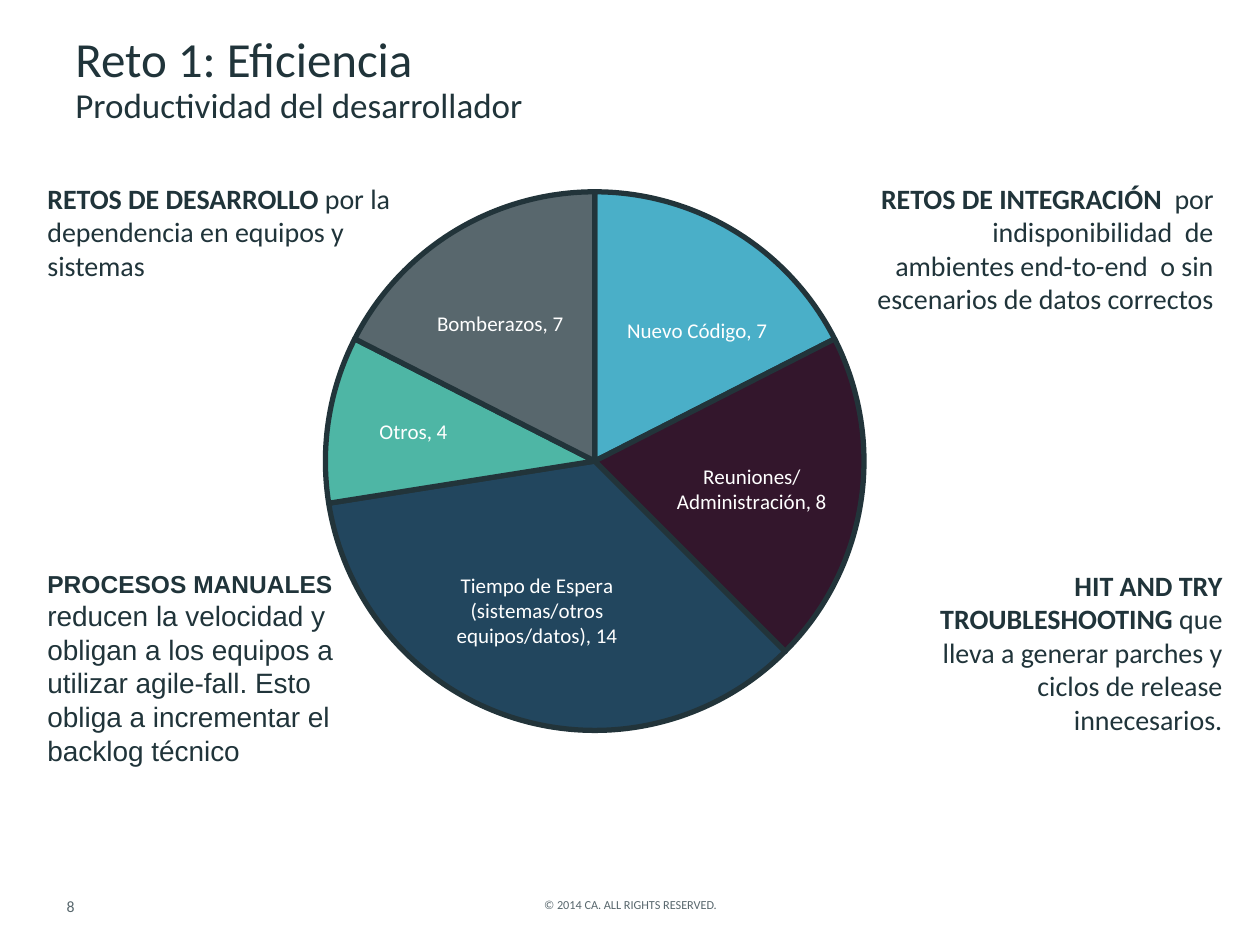
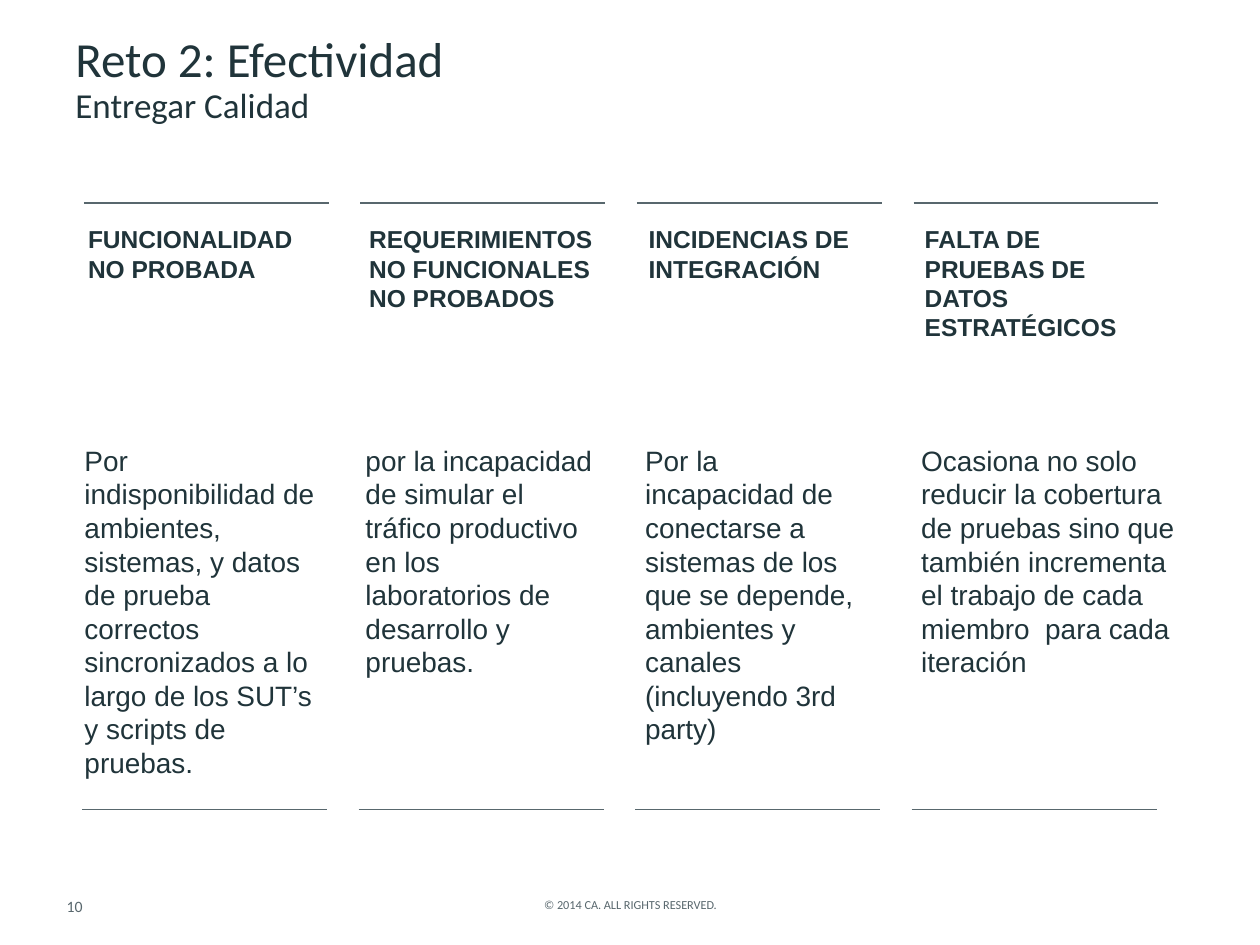
from lxml.etree import SubElement
from pptx import Presentation
from pptx.chart.data import CategoryChartData
from pptx.dml.color import RGBColor
from pptx.enum.chart import XL_CHART_TYPE, XL_LABEL_POSITION
from pptx.enum.shapes import MSO_CONNECTOR
from pptx.enum.text import PP_ALIGN
from pptx.oxml import parse_xml
from pptx.oxml.ns import nsdecls, qn
from pptx.util import Pt

INK = RGBColor(0x20, 0x34, 0x3A)
GREY = RGBColor(0x58, 0x67, 0x6D)
EDGE = RGBColor(0x22, 0x34, 0x3A)
WHITE = RGBColor(0xFF, 0xFF, 0xFF)
SKY = RGBColor(0x4A, 0xAF, 0xC8)
PLUM = RGBColor(0x33, 0x16, 0x2C)
NAVY = RGBColor(0x22, 0x46, 0x5E)
TEAL = RGBColor(0x4E, 0xB6, 0xA5)

TITLE = {"name": "Calibri", "size": Pt(28)}
SUB = {"name": "Calibri", "size": Pt(20)}
LEAD = {"name": "Calibri", "size": Pt(16), "bold": True}
BODY = {"name": "Calibri", "size": Pt(16), "bold": False}
HEAD = {"name": "Arial", "size": Pt(14), "bold": True}
PLAIN = {"name": "Arial", "size": Pt(16), "bold": False}
PAGE = {"name": "Calibri", "size": Pt(9)}
LEGAL = {"name": "Calibri", "size": Pt(7)}
LABEL = {"name": "Calibri", "size": Pt(12), "bold": False}

COPY = "© 2014 CA. ALL RIGHTS RESERVED."

SLICES = [
    ("Nuevo Código", 7, SKY, (0.04, -0.02)),
    ("Reuniones/Administración", 8, PLUM, (0.03, 0.01)),
    ("Tiempo de Espera (sistemas/otros equipos/datos)", 14, NAVY, (-0.02, 0.03)),
    ("Otros", 4, TEAL, (-0.06, -0.01)),
    ("Bomberazos", 7, GREY, (-0.03, -0.03)),
]
PIE_BOX = (135.4, 80, 459.4, 422)
PIE_AREA = {"x": 0.11, "y": 0.07, "w": 0.67, "h": 0.73}

NOTES = [
    ((20, 100, 213, 200), PP_ALIGN.LEFT, LEAD, BODY, "RETOS DE DESARROLLO ",
     "por la dependencia en equipos y sistemas"),
    ((489.6, 100, 211, 148), PP_ALIGN.RIGHT, LEAD, BODY, "RETOS DE INTEGRACIÓN  ",
     "por indisponibilidad  de ambientes end-to-end  o sin escenarios de datos correctos"),
    ((20, 321.8, 204.5, 192), PP_ALIGN.LEFT, HEAD, PLAIN, "PROCESOS MANUALES ",
     "reducen la velocidad y obligan a los equipos a utilizar agile-fall. "
     "Esto obliga a incrementar el backlog técnico"),
    ((502.6, 321.1, 203, 182), PP_ALIGN.RIGHT, LEAD, BODY, "HIT AND TRY TROUBLESHOOTING ",
     "que lleva a generar parches y ciclos de release innecesarios."),
]

RISKS = [
    (43.2, 151, 41, "FUNCIONALIDAD NO PROBADA", 151, 201,
     "Por indisponibilidad de ambientes, sistemas, y datos de prueba correctos "
     "sincronizados a lo largo de los SUT’s y scripts de pruebas."),
    (203.8, 159, 58, "REQUERIMIENTOS NO FUNCIONALES NO PROBADOS", 144, 143,
     "por la incapacidad de simular el tráfico productivo en los laboratorios "
     "de desarrollo y pruebas."),
    (363.6, 141, 41, "INCIDENCIAS DE INTEGRACIÓN", 141, 181,
     "Por la incapacidad de conectarse a sistemas de los que se depende, "
     "ambientes y canales (incluyendo 3rd party)"),
    (521.3, 142.6, 75, "FALTA DE PRUEBAS DE DATOS ESTRATÉGICOS", 159, 163,
     "Ocasiona no solo reducir la cobertura de pruebas sino que también incrementa "
     "el trabajo de cada miembro  para cada iteración"),
]
RULE_X, RULE_STEP, RULE_W = 48, 158, 140
RULES = [(0, 116), (-1, 462.6)]


def style(font, fmt, tint):
    for key, val in fmt.items():
        setattr(font, key, val)
    font.color.rgb = tint


def write(slide, box, parts, tint=INK, **fmt):
    frame = slide.shapes.add_textbox(*map(Pt, box)).text_frame
    frame.word_wrap = True
    para = frame.paragraphs[0]
    for key, val in fmt.items():
        setattr(para, key, val)
    for text, look in parts:
        if text.startswith("\v"):
            para.add_line_break()
        run = para.add_run()
        run.text = text.lstrip("\v")
        style(run.font, look, tint)


def start(deck, page, title, sub):
    slide = deck.slides.add_slide(deck.slide_layouts[6])
    write(slide, (31, 509, 42, 27), [(page, PAGE)], GREY)
    write(slide, (98.6, 509, 523.4, 27), [(COPY, LEGAL)], GREY, alignment=PP_ALIGN.CENTER)
    write(slide, (36, 16.6, 648, 85.7), [(title, TITLE), ("\v" + sub, SUB)], line_spacing=0.9)
    return slide


def layout(spots, inner=False):
    node = parse_xml(f"<c:layout {nsdecls('c')}><c:manualLayout/></c:layout>")
    tags = [("layoutTarget", "inner"), ("xMode", "edge"), ("yMode", "edge")] if inner else []
    for tag, val in tags + list(spots.items()):
        SubElement(node[0], qn("c:" + tag)).set("val", str(val))
    return node


def draw_pie(slide):
    names, vals, tints, shifts = zip(*SLICES)
    data = CategoryChartData()
    data.categories = names
    data.add_series("Series 1", vals)
    chart = slide.shapes.add_chart(XL_CHART_TYPE.PIE, *map(Pt, PIE_BOX), data).chart
    chart.has_title = chart.has_legend = False
    style(chart.font, LABEL, WHITE)
    plot = chart.plots[0]
    plot.vary_by_categories = True
    series = plot.series[0]
    for i, tint in enumerate(tints):
        point = series.points[i]
        point.format.fill.solid()
        point.format.fill.fore_color.rgb = tint
        point.format.line.color.rgb = EDGE
        point.format.line.width = Pt(3)
        label = point.data_label
        label.position = XL_LABEL_POSITION.CENTER
        style(label.font, LABEL, WHITE)
    for node, (x, y) in zip(series._element.iter(qn("c:dLbl")), shifts):
        node.insert(1, layout({"x": x, "y": y}))
        node.find(qn("c:showCatName")).set("val", "1")
        SubElement(node, qn("c:separator")).text = ", "
    area = chart._chartSpace.find(".//" + qn("c:plotArea"))
    for old in area.findall(qn("c:layout")):
        area.remove(old)
    area.insert(0, layout(PIE_AREA, True))


def draw_rule(slide, x, y):
    line = slide.shapes.add_connector(MSO_CONNECTOR.STRAIGHT, *map(Pt, (x, y, x + RULE_W, y)))
    line.line.color.rgb = GREY
    line.line.width = Pt(0.75)
    SubElement(line._element.spPr, qn("a:effectLst"))


def main():
    deck = Presentation()
    deck.slide_width, deck.slide_height = Pt(720), Pt(540)

    slide = start(deck, "8", "Reto 1: Eficiencia", "Productividad del desarrollador")
    draw_pie(slide)
    for box, side, bold, soft, lead, text in NOTES:
        write(slide, box, [(lead, bold), (text, soft)], alignment=side, space_after=Pt(12))

    slide = start(deck, "10", "Reto 2: Efectividad", "Entregar Calidad")
    for i, (x, wide, high, head, span, tall, text) in enumerate(RISKS):
        for shift, y in RULES:
            draw_rule(slide, RULE_X + i * RULE_STEP + shift, y)
        write(slide, (x, 124.6, wide, high), [(head, HEAD)])
        write(slide, (x - 2, 249.8, span, tall), [(text, PLAIN)])

    deck.save("out.pptx")


if __name__ == "__main__":
    main()
